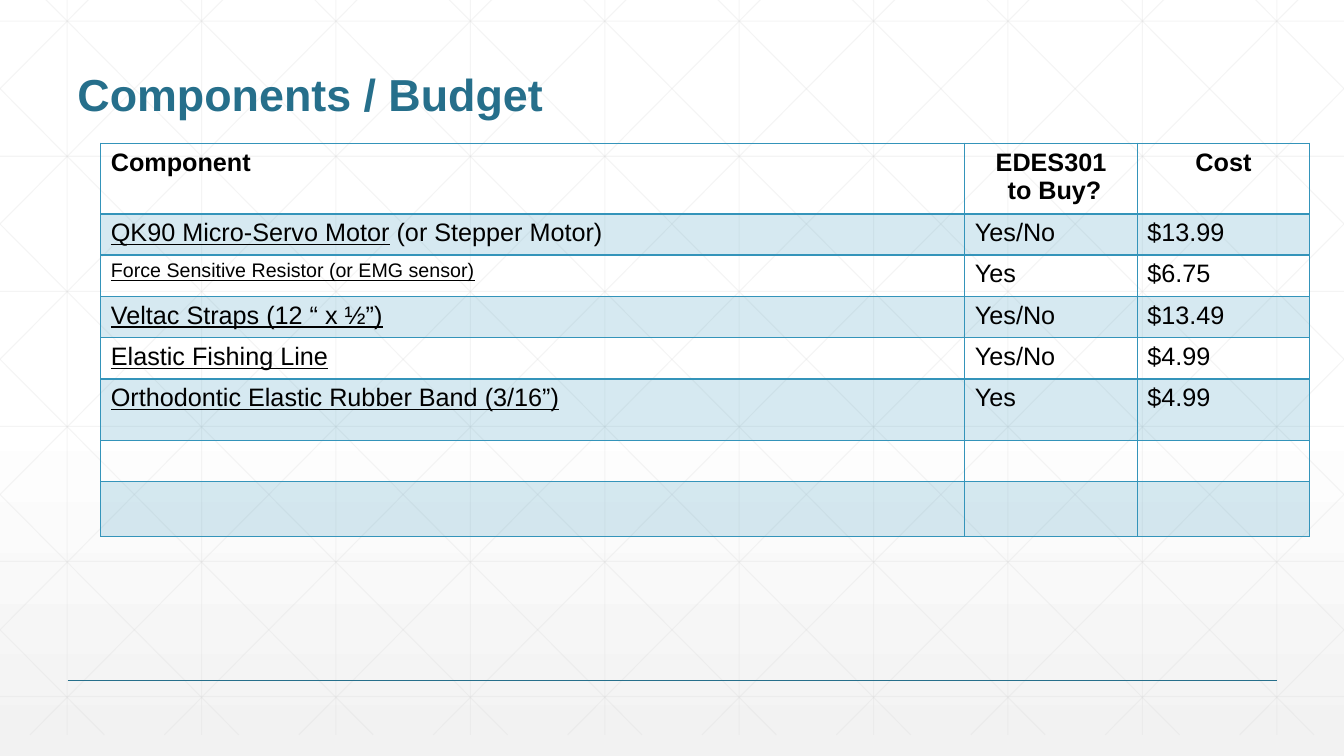
from dataclasses import dataclass

from lxml import etree
from pptx import Presentation
from pptx.dml.color import RGBColor
from pptx.enum import shapes, text
from pptx.oxml import ns
from pptx.util import Inches, Pt


@dataclass(frozen=True)
class Theme:
    font: str = "Arial"
    title: str = "266F8B"
    accent: str = "3494BA"
    body: str = "000000"
    grid: str = "D8D8D8"
    bg_top: str = "FFFFFF"
    bg_bottom: str = "F2F2F2"
    title_size: float = 32
    body_size: float = 18
    small_size: float = 14


@dataclass(frozen=True)
class Line:
    x1: float
    y1: float
    x2: float
    y2: float


@dataclass(frozen=True)
class Component:
    link: str = ""
    note: str = ""
    to_buy: str = ""
    cost: str = ""
    height: float = 0.41
    link_size: float = 18


THEME = Theme()
SLIDE_W, SLIDE_H = 13.33, 7.5
GRID_TOP, GRID_BOTTOM = -0.21, 7.29
STEP_X, STEP_Y = SLIDE_W / 10, 1.34
DIAGONAL_RUN = 7.45
COLUMN_WIDTHS = (8.57, 1.71, 1.71)
HEADER_HEIGHT = 0.66
HEADERS = ("Component", "EDES301\n to Buy?", "Cost")
COMPONENTS = (
    Component("QK90 Micro-Servo Motor", " (or Stepper Motor)", "Yes/No", "$13.99"),
    Component("Force Sensitive Resistor (or EMG sensor)", "", "Yes", "$6.75",
              link_size=THEME.small_size),
    Component("Veltac Straps (12 “ x ½”)", "", "Yes/No", "$13.49"),
    Component("Elastic Fishing Line", "", "Yes/No", "$4.99"),
    Component("Orthodontic Elastic Rubber Band (3/16”)", "", "Yes", "$4.99", height=0.61),
    Component(),
    Component(height=0.54),
)


def set_alpha(element, percent: int) -> None:
    """Make every RGB colour inside the element partly transparent."""
    for colour in element.iter(ns.qn("a:srgbClr")):
        etree.SubElement(colour, ns.qn("a:alpha"), val=str(percent * 1000))


def draw_line(slide, line: Line, colour: str, width: float, alpha: int = 100) -> None:
    connector = slide.shapes.add_connector(
        shapes.MSO_CONNECTOR.STRAIGHT,
        Inches(line.x1), Inches(line.y1), Inches(line.x2), Inches(line.y2))
    connector.line.color.rgb = RGBColor.from_string(colour)
    connector.line.width = Pt(width)
    properties = connector._element.spPr
    if alpha < 100:
        set_alpha(properties, alpha)
    etree.SubElement(properties, ns.qn("a:effectLst"))


def falling_diagonal(start: float) -> Line:
    """Cut the diagonal that starts at this x on the grid's top to the slide's width."""
    slope = (GRID_BOTTOM - GRID_TOP) / DIAGONAL_RUN
    left, right = max(start, 0), min(start + DIAGONAL_RUN, SLIDE_W)
    return Line(left, GRID_TOP + (left - start) * slope,
                right, GRID_TOP + (right - start) * slope)


def grid_lines() -> list[Line]:
    verticals = [Line(x, GRID_TOP, x, GRID_BOTTOM)
                 for x in (STEP_X * (i + 0.5) for i in range(10))]
    horizontals = [Line(0, y, SLIDE_W, y) for y in (0.21 + STEP_Y * i for i in range(6))]
    falling = [falling_diagonal(0.25 + STEP_X * i) for i in range(-5, 10)]
    rising = [Line(SLIDE_W - d.x1, d.y1, SLIDE_W - d.x2, d.y2) for d in falling]
    return verticals + horizontals + falling + rising


def paint_background(slide) -> None:
    fill = slide.background.fill
    fill.gradient()
    fill.gradient_angle = 270
    stops = ((0.53, THEME.bg_top), (1, THEME.bg_bottom))
    for stop, (position, colour) in zip(fill.gradient_stops, stops):
        stop.position = position
        stop.color.rgb = RGBColor.from_string(colour)


def format_run(run, size: float, colour: str, bold: bool = False,
               underline: bool = False) -> None:
    font = run.font
    font.name, font.size = THEME.font, Pt(size)
    font.bold, font.underline = bold, underline
    font.color.rgb = RGBColor.from_string(colour)


def add_title(slide, wording: str) -> None:
    frame = slide.shapes.add_textbox(
        Inches(0.67), Inches(0.25), Inches(12), Inches(1)).text_frame
    frame.word_wrap = True
    frame.vertical_anchor = text.MSO_ANCHOR.BOTTOM
    frame.text = wording
    frame.paragraphs[0].line_spacing = 0.9
    format_run(frame.paragraphs[0].runs[0], THEME.title_size, THEME.title, bold=True)


def style_cell(cell, row: int) -> None:
    """Draw the borders, heavy under the header, and tint every odd row."""
    properties = cell._tc.get_or_add_tcPr()
    widths = {"L": 1, "R": 1, "T": 2 if row == 1 else 1, "B": 2 if row == 0 else 1}
    for side, width in widths.items():
        border = etree.SubElement(properties, ns.qn(f"a:ln{side}"), w=str(Pt(width)))
        solid = etree.SubElement(border, ns.qn("a:solidFill"))
        etree.SubElement(solid, ns.qn("a:srgbClr"), val=THEME.accent)
    if row % 2:
        cell.fill.solid()
        cell.fill.fore_color.rgb = RGBColor.from_string(THEME.accent)
        set_alpha(properties.find(ns.qn("a:solidFill")), 20)
    else:
        cell.fill.background()


def fill_header(cell, wording: str, centred: bool) -> None:
    cell.text_frame.text = wording
    for paragraph in cell.text_frame.paragraphs:
        if centred:
            paragraph.alignment = text.PP_ALIGN.CENTER
        format_run(paragraph.runs[0], THEME.body_size, THEME.body, bold=True)


def fill_component(cells, component: Component) -> None:
    name = cells[0].text_frame.paragraphs[0]
    if component.link:
        name.text = component.link
        format_run(name.runs[0], component.link_size, THEME.body, underline=True)
    if component.note:
        note = name.add_run()
        note.text = component.note
        format_run(note, THEME.body_size, THEME.body)
    for cell, wording in zip(cells[1:], (component.to_buy, component.cost)):
        if wording:
            cell.text_frame.text = wording
            format_run(cell.text_frame.paragraphs[0].runs[0], THEME.body_size, THEME.body)


def add_budget(slide) -> None:
    heights = (HEADER_HEIGHT, *(component.height for component in COMPONENTS))
    budget = slide.shapes.add_table(
        len(heights), len(COLUMN_WIDTHS), Inches(1), Inches(1.42),
        Inches(sum(COLUMN_WIDTHS)), Inches(sum(heights))).table
    budget.horz_banding = False
    for column, width in zip(budget.columns, COLUMN_WIDTHS):
        column.width = Inches(width)
    for index, (row, height) in enumerate(zip(budget.rows, heights)):
        row.height = Inches(height)
        for cell in row.cells:
            style_cell(cell, index)
    for index, wording in enumerate(HEADERS):
        fill_header(budget.cell(0, index), wording, centred=index > 0)
    for index, component in enumerate(COMPONENTS, start=1):
        fill_component(list(budget.rows[index].cells), component)


def main() -> None:
    deck = Presentation()
    deck.slide_width, deck.slide_height = Inches(SLIDE_W), Inches(SLIDE_H)
    slide = deck.slides.add_slide(deck.slide_layouts[6])
    paint_background(slide)
    for line in grid_lines():
        draw_line(slide, line, THEME.grid, 0.75, alpha=25)
    draw_line(slide, Line(0.67, 6.75, 12.67, 6.75), THEME.title, 1)
    add_title(slide, "Components / Budget")
    add_budget(slide)
    deck.save("out.pptx")


if __name__ == "__main__":
    main()
